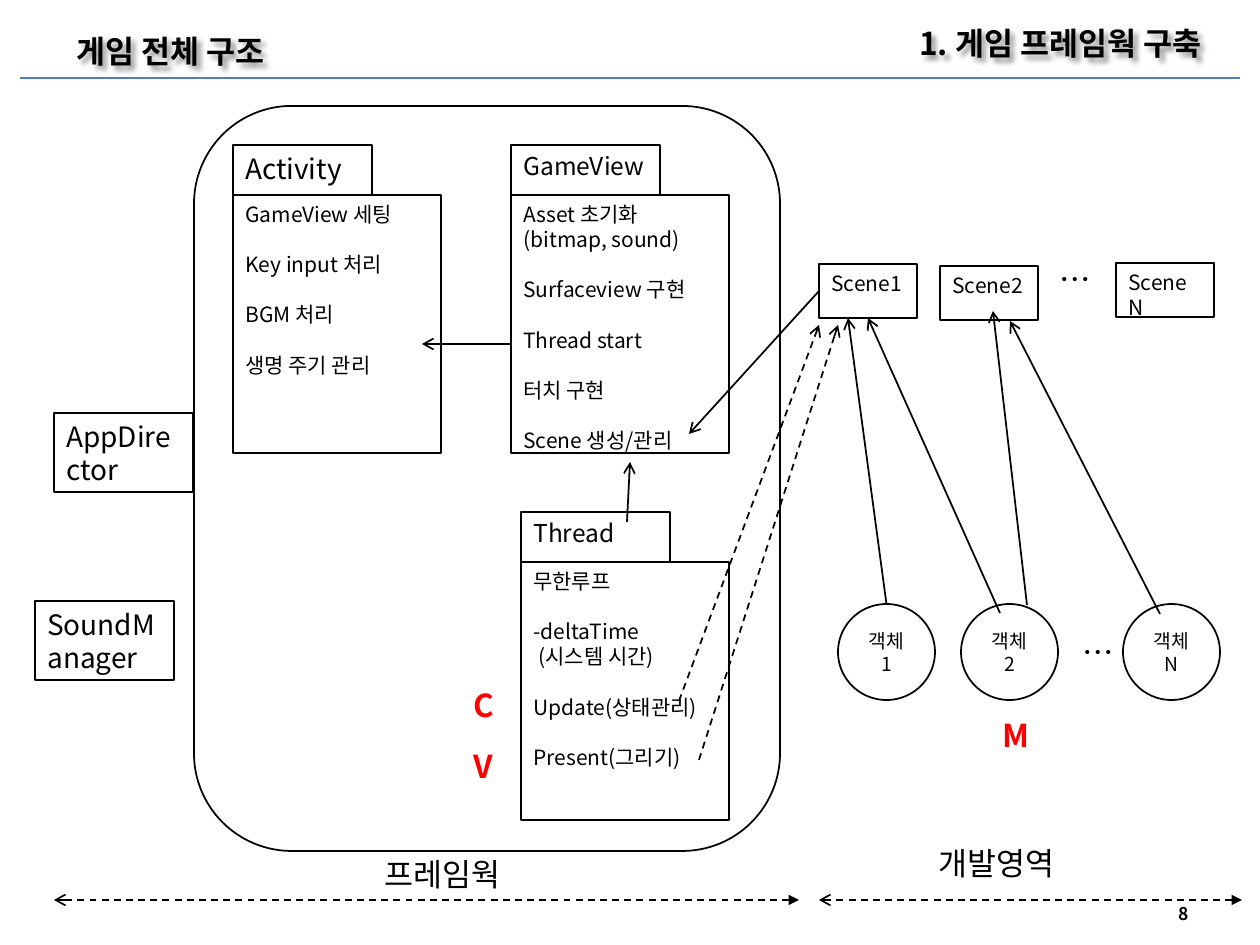
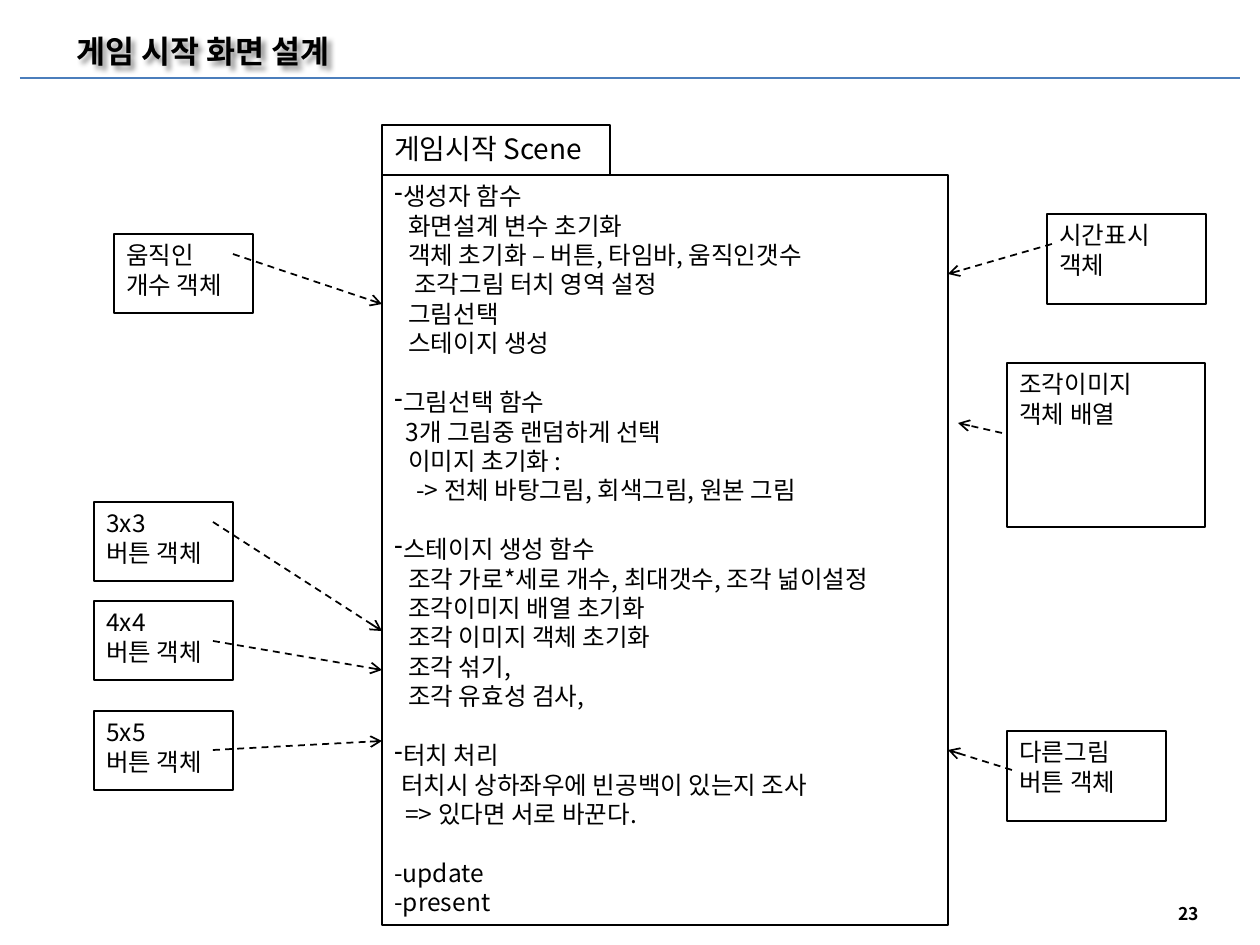
from typing import NamedTuple

from pptx import Presentation
from pptx.dml.color import RGBColor
from pptx.enum.dml import MSO_LINE
from pptx.enum.shapes import MSO_CONNECTOR, MSO_SHAPE
from pptx.enum.text import MSO_ANCHOR, PP_ALIGN
from pptx.oxml import parse_xml
from pptx.oxml.ns import nsdecls, qn
from pptx.oxml.xmlchemy import OxmlElement
from pptx.util import Emu, Pt

FONT = "Noto Sans CJK KR"
BLACK = RGBColor(0x00, 0x00, 0x00)
RED = RGBColor(0xFF, 0x00, 0x00)
RULE_BLUE = RGBColor(0x4B, 0x7E, 0xBC)
EMU_PER_PX = 914400 / 126
LINE_HEIGHT = 1.2
TAB_HEIGHT = 50
LABEL_HEIGHT = 50


class Line(NamedTuple):
    text: str
    indent: int = 0
    gap: bool = False
    bullet: bool = False


def px(length):
    return Emu(round(length * EMU_PER_PX))


def set_indent(paragraph, line):
    properties = paragraph._p.get_or_add_pPr()
    hanging = 9 if line.bullet else 0
    properties.set("marL", str(px(line.indent + hanging)))
    properties.set("indent", str(-px(hanging)))
    if line.bullet:
        bullet = OxmlElement("a:buChar")
        bullet.set("char", "-")
        properties.append(bullet)


def write(shape, lines, size, color=BLACK, bold=False, align=PP_ALIGN.LEFT):
    frame = shape.text_frame
    for index, line in enumerate(lines):
        paragraph = frame.add_paragraph() if index else frame.paragraphs[0]
        paragraph.text = line.text
        paragraph.alignment = align
        paragraph.line_spacing = Pt(size * LINE_HEIGHT)
        if line.gap:
            paragraph.space_before = Pt(size * LINE_HEIGHT)
        if line.indent or line.bullet:
            set_indent(paragraph, line)
        for run in paragraph.runs:
            font = run.font
            font.name, font.size, font.bold = FONT, Pt(size), bold
            font.color.rgb = color
            east_asian = OxmlElement("a:ea")
            east_asian.set("typeface", FONT)
            run._r.get_or_add_rPr().append(east_asian)


def add_label(slide, left, top, width, text, size=18, color=BLACK, bold=False,
              height=LABEL_HEIGHT):
    label = slide.shapes.add_textbox(px(left), px(top), px(width), px(height))
    label.text_frame.word_wrap = False
    write(label, [Line(text)], size, color, bold)
    return label


def add_heading(slide, left, top, width, text):
    heading = add_label(slide, left, top, width, text, bold=True)
    heading.element.spPr.append(parse_xml(
        f'<a:effectLst {nsdecls("a")}>'
        '<a:outerShdw blurRad="38100" dist="38100" dir="2700000" algn="tl">'
        '<a:srgbClr val="000000"><a:alpha val="43000"/></a:srgbClr>'
        '</a:outerShdw></a:effectLst>'))


def add_outline(slide, left, top, width, height, kind=MSO_SHAPE.RECTANGLE):
    shape = slide.shapes.add_shape(kind, px(left), px(top), px(width), px(height))
    shape.shadow.inherit = False
    shape.fill.background()
    shape.line.color.rgb = BLACK
    shape.line.width = Pt(1)
    shape.text_frame.word_wrap = True
    shape.text_frame.vertical_anchor = MSO_ANCHOR.TOP
    return shape


def add_card(slide, left, top, width, height, texts, size):
    card = add_outline(slide, left, top, width, height)
    write(card, [Line(text) for text in texts], size)
    return card


def add_object(slide, left, top, text):
    circle = add_outline(slide, left, top, 97, 96, MSO_SHAPE.OVAL)
    circle.text_frame.vertical_anchor = MSO_ANCHOR.MIDDLE
    write(circle, [Line(text)], 11, align=PP_ALIGN.CENTER)
    return circle


def add_class_box(slide, left, top, tab_width, width, height, name, name_size,
                  lines, size):
    add_card(slide, left, top, tab_width, TAB_HEIGHT, [name], name_size)
    body = add_outline(slide, left, top + TAB_HEIGHT, width, height)
    write(body, lines, size)


def add_line(slide, start, end, color=BLACK, width=1, dashed=False, head=None,
             tail=None):
    connector = slide.shapes.add_connector(
        MSO_CONNECTOR.STRAIGHT, *map(px, start), *map(px, end))
    connector.line.color.rgb = color
    connector.line.width = Pt(width)
    if dashed:
        connector.line.dash_style = MSO_LINE.DASH
    properties = connector.element.spPr
    outline = properties.find(qn("a:ln"))
    for tag, kind in (("a:headEnd", head), ("a:tailEnd", tail)):
        if kind:
            arrowhead = OxmlElement(tag)
            arrowhead.set("type", kind)
            outline.append(arrowhead)
    properties.append(OxmlElement("a:effectLst"))
    return connector


def add_arrow(slide, start, end, dashed=False, head=None):
    return add_line(slide, start, end, dashed=dashed, head=head, tail="arrow")


def add_base(presentation, title, title_width, number):
    slide = presentation.slides.add_slide(presentation.slide_layouts[6])
    add_label(slide, 1166, 897, 82, number, 10, bold=True, height=34)
    add_line(slide, (20, 78), (1240, 78), RULE_BLUE, 0.75)
    add_heading(slide, 64, 26, title_width, title)
    return slide


def add_framework(slide, left, top):
    add_outline(slide, left, top, 586, 745, MSO_SHAPE.ROUNDED_RECTANGLE)
    add_class_box(slide, left + 39, top + 39, 139, 208, 258, "Activity", 16, [
        Line("GameView 세팅"),
        Line("Key input 처리", gap=True),
        Line("BGM 처리", gap=True),
        Line("생명 주기 관리", gap=True)], 12)
    add_class_box(slide, left + 317, top + 39, 149, 218, 258, "GameView", 14, [
        Line("Asset 초기화"),
        Line("(bitmap, sound)"),
        Line("Surfaceview 구현", gap=True),
        Line("Thread start", gap=True),
        Line("터치 구현", gap=True),
        Line("Scene 생성/관리", gap=True)], 12)
    add_class_box(slide, left + 327, top + 406, 149, 208, 258, "Thread", 14, [
        Line("무한루프"),
        Line("-deltaTime", gap=True),
        Line("(시스템 시간)", 5),
        Line("Update(상태관리)", gap=True),
        Line("Present(그리기)", gap=True)], 12)
    add_arrow(slide, (left + 317, top + 238), (left + 228, top + 238))
    add_arrow(slide, (left + 433, top + 416), (left + 436, top + 356))
    add_card(slide, left - 140, top + 307, 139, 79, ["AppDirector"], 16)
    add_card(slide, left - 159, top + 495, 139, 79, ["SoundManager"], 16)
    for letter, offset in (("C", 574), ("V", 635)):
        add_label(slide, left + 267, top + offset, 46, letter, color=RED, bold=True)


def add_development(slide, left, top):
    scene_places = (("Scene1", 0, 1), ("Scene2", 121, 3), ("SceneN", 297, 0))
    scene1, scene2, scene_n = [
        add_card(slide, left + x, top + y, 98, 54, [name], 12)
        for name, x, y in scene_places]
    object1, object2, object_n = [
        add_object(slide, left + x, top + 341, name)
        for name, x in (("객체1", 19), ("객체2", 142), ("객체N", 304))]
    for x, y in ((228, -9), (251, 364)):
        add_label(slide, left + x, top + y, 49, "…")
    add_label(slide, left + 171, top + 447, 57, "M", color=RED, bold=True)

    to_game_view = add_arrow(slide, (left, top + 27), (left - 130, top + 171))
    to_game_view.begin_connect(scene1, 1)
    from_object1 = add_arrow(slide, (left + 68, top + 341), (left + 29, top + 55))
    from_object1.begin_connect(object1, 0)
    from_object2 = add_arrow(slide, (left + 181, top + 350), (left + 49, top + 54))
    from_object2.end_connect(scene1, 2)
    add_arrow(slide, (left + 208, top + 342), (left + 174, top + 48))
    add_arrow(slide, (left + 341, top + 351), (left + 191, top + 58))
    add_arrow(slide, (left - 140, top + 438), (left, top + 62), dashed=True)
    add_arrow(slide, (left - 120, top + 497), (left + 19, top + 62), dashed=True)


def add_structure_slide(presentation):
    slide = add_base(presentation, "게임 전체 구조", 239, "8")
    add_heading(slide, 907, 18, 340, "1. 게임 프레임웍 구축")
    add_framework(slide, 194, 106)
    add_development(slide, 819, 263)
    for left, right, name, name_left, name_top in (
            (54, 799, "프레임웍", 372, 849), (819, 1242, "개발영역", 926, 838)):
        add_arrow(slide, (right, 900), (left, 900), dashed=True, head="triangle")
        add_label(slide, name_left, name_top, 152, name)


def add_scene_slide(presentation):
    slide = add_base(presentation, "게임 시작 화면 설계", 314, "23")
    add_class_box(slide, 382, 125, 228, 566, 750, "게임시작 Scene", 16, [
        Line("생성자 함수", bullet=True),
        Line("화면설계 변수 초기화", 14),
        Line("객체 초기화 – 버튼, 타임바, 움직인갯수", 14),
        Line("조각그림 터치 영역 설정", 20),
        Line("그림선택", 14),
        Line("스테이지 생성", 14),
        Line("그림선택 함수", gap=True, bullet=True),
        Line("3개 그림중 랜덤하게 선택", 11),
        Line("이미지 초기화 :", 14),
        Line("-> 전체 바탕그림, 회색그림, 원본 그림", 22),
        Line("스테이지 생성 함수", gap=True, bullet=True),
        Line("조각 가로*세로 개수, 최대갯수, 조각 넒이설정", 14),
        Line("조각이미지 배열 초기화", 14),
        Line("조각 이미지 객체 초기화", 14),
        Line("조각 섞기,", 14),
        Line("조각 유효성 검사,", 14),
        Line("터치 처리", gap=True, bullet=True),
        Line("터치시 상하좌우에 빈공백이 있는지 조사", 7),
        Line("=> 있다면 서로 바꾼다.", 11),
        Line("-update", gap=True),
        Line("-present")], 14)

    cards = (
        ((114, 234, 139, 79), ("움직인", "개수 객체"), (233, 254), (382, 304)),
        ((94, 502, 139, 79), ("3x3", "버튼 객체"), (213, 522), (382, 631)),
        ((94, 601, 139, 79), ("4x4", "버튼 객체"), (213, 641), (382, 670)),
        ((94, 711, 139, 79), ("5x5", "버튼 객체"), (213, 750), (382, 741)),
        ((1047, 214, 159, 90), ("시간표시", "객체"), (1052, 244), (948, 274)),
        ((1007, 363, 198, 164), ("조각이미지", "객체 배열"), (1002, 433), (958, 423)),
        ((1007, 731, 159, 90), ("다른그림", "버튼 객체"), (1012, 770), (948, 750)),
    )
    for box, texts, start, end in cards:
        add_card(slide, *box, texts, 14)
        add_arrow(slide, start, end, dashed=True)


def main():
    presentation = Presentation()
    presentation.slide_width = px(1260)
    presentation.slide_height = px(945)
    add_structure_slide(presentation)
    add_scene_slide(presentation)
    presentation.save("out.pptx")


if __name__ == "__main__":
    main()
